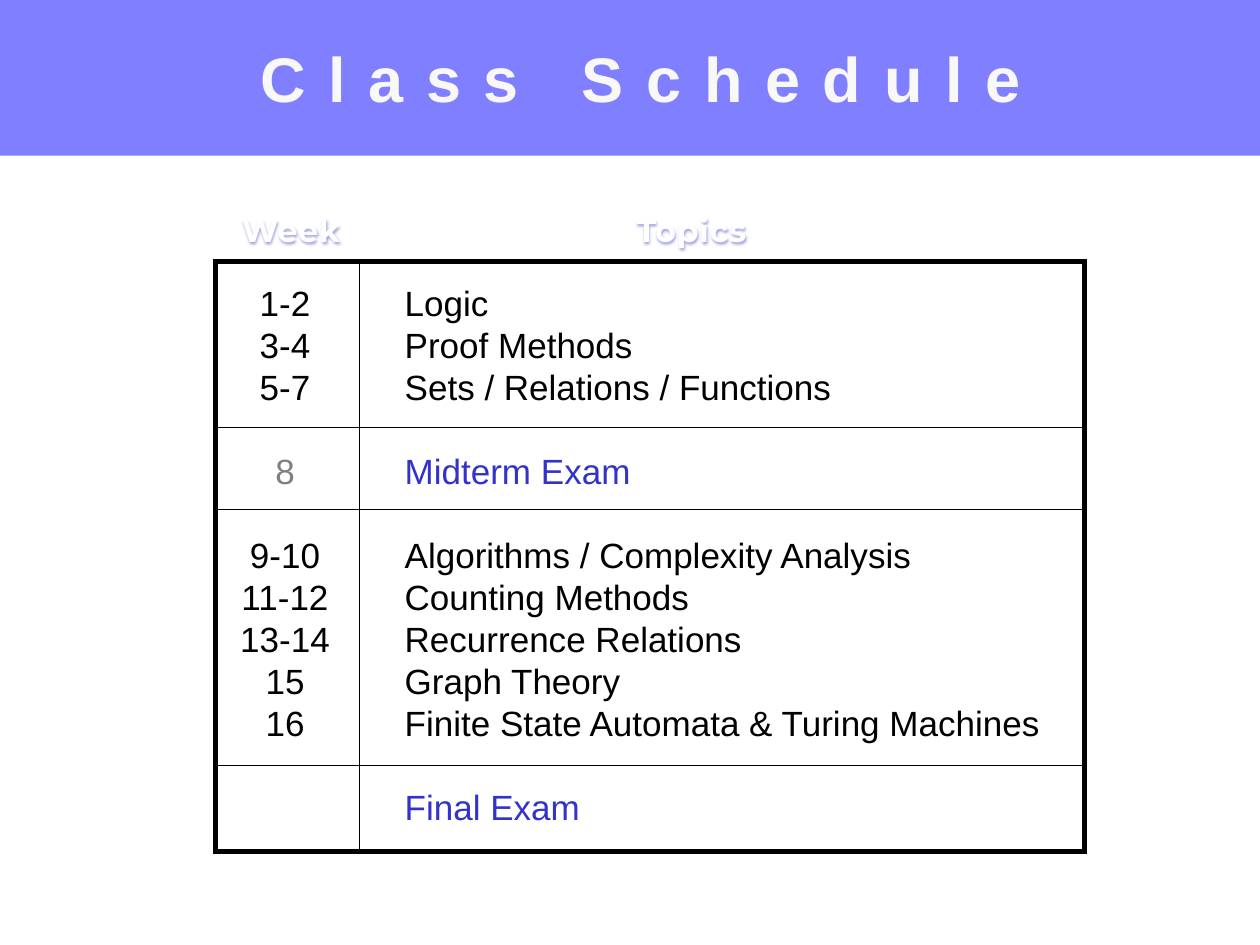
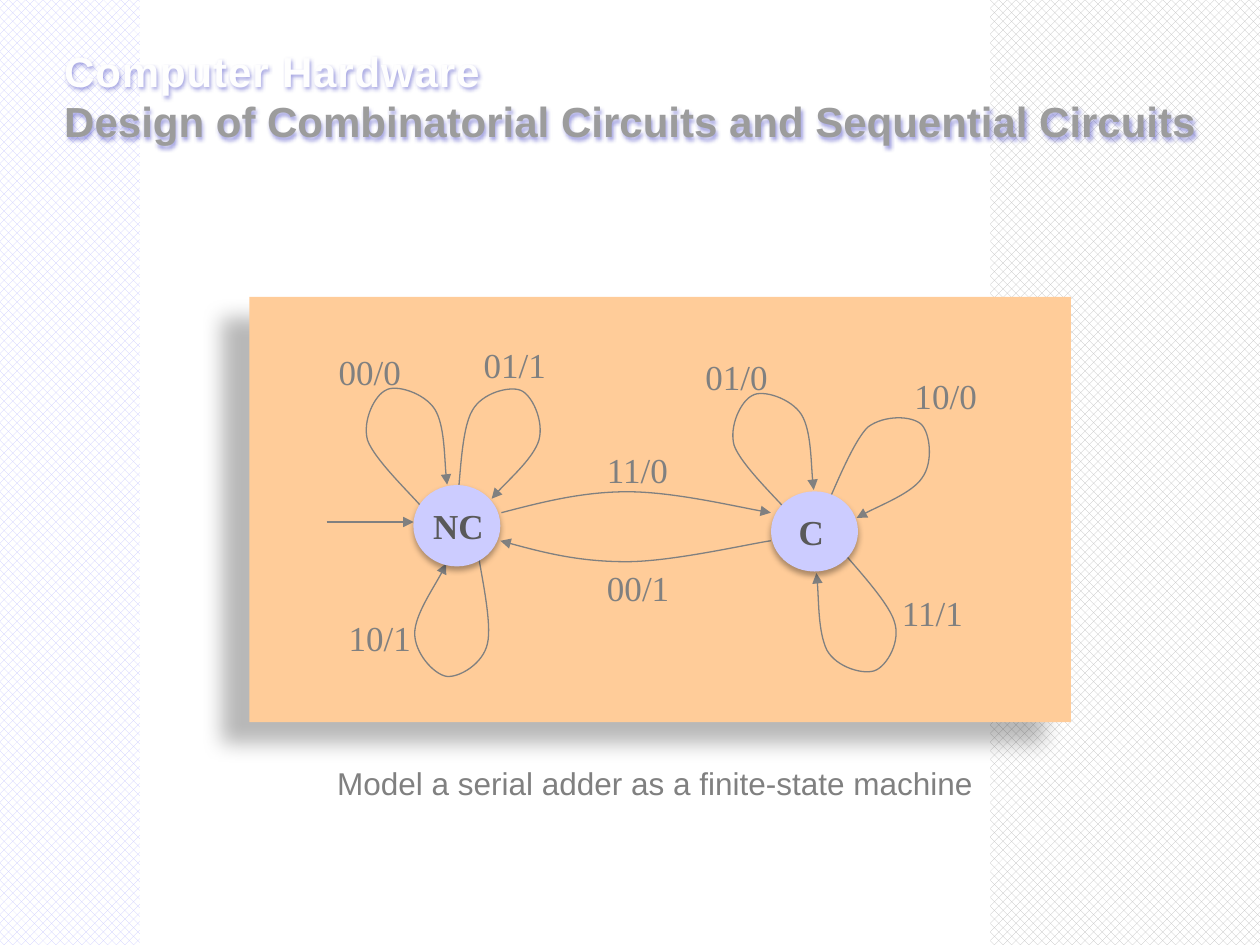
from lxml import etree
from pptx import Presentation
from pptx.dml.color import RGBColor
from pptx.enum.dml import MSO_PATTERN
from pptx.enum.shapes import MSO_CONNECTOR, MSO_SHAPE
from pptx.enum.text import MSO_ANCHOR, MSO_AUTO_SIZE, PP_ALIGN
from pptx.oxml.ns import qn
from pptx.util import Pt

# ---- Shared style ----
C = dict(black="000000", white="FFFFFF", band="0000FF", title="F8F8F8",
         pale="FEFEFE", navy="1C1CB5", exam="3333CC", grey="808080",
         subtitle="9C9C9C", dark="595959", lilac="CCCCFF", silver="C0C0C0",
         peach="FFCC99")
SANS, SERIF, HEAD = "Arial", "Times New Roman", "Montserrat"
TEXT_SHADOW = (C["navy"], 40, 1.5, 1, 60)  # colour, opacity %, blur, distance, angle
NODE_SHADOW = (C["black"], 32, 3.5, 2.2, 90)
PANEL_SHADOW = (C["black"], 28, 11.8, 19.7, 141)

# ---- Slide 1 content: groups of (week, topic), ruled off from each other ----
SCHEDULE_TITLE = "C l a s s   S c h e d u l e"
SCHEDULE = [
    [("1-2", "Logic"), ("3-4", "Proof Methods"),
     ("5-7", "Sets / Relations / Functions")],
    [("8", "Midterm Exam")],
    [("9-10", "Algorithms / Complexity Analysis"), ("11-12", "Counting Methods"),
     ("13-14", "Recurrence Relations"), ("15", "Graph Theory"),
     ("16", "Finite State Automata & Turing Machines")],
    [("", "Final Exam")],
]
HEADINGS = [("Week", 131.2, 70.6), ("Topics", 356.8, 82.8)]
FRAME = (123.3, 149.4, 496.5, 337)
RULES_Y = [244.5, 291.1, 437.5]
DIVIDER_X = 205.5

# ---- Slide 2 content ----
HARDWARE_TITLE = [("Computer Hardware", C["pale"], C["navy"], 0.5),
                  ("Design of Combinatorial Circuits and Sequential Circuits",
                   C["subtitle"], C["black"], 0)]
CAPTION = "Model a serial adder as a finite-state machine"
SIDES = [(565.9, 154.1, C["silver"]), (0, 79.9, C["lilac"])]
STATES = [("NC", (236.2, 277.2, 49.7, 46.5), (240.5, 284.8, 43.2)),
          ("C", (440.6, 280.8, 49.7, 45.8), (449.3, 288, 28.8))]
LABELS = [("00/0", 186.5, 196.6), ("01/1", 269.3, 193), ("01/0", 396, 199.4),
          ("10/0", 515.5, 210.2), ("11/0", 339.8, 253), ("00/1", 339.8, 320.4),
          ("10/1", 192.2, 348.5), ("11/1", 508.3, 334.4)]
LABEL_W = 52
UPPER_LEFT_LOOP = [
    (242, 291), (237, 284.5), (214, 263), (210, 251.5), (207, 240.5), (214, 226),
    (220.5, 223), (226, 219.5), (242.5, 224.5), (248.5, 234), (254, 243),
    (254, 267.5), (255.5, 277)]
# Each curve: start, then two control points and an end per segment
CURVES = [
    UPPER_LEFT_LOOP,
    [(x + 209.5, y + 3) for x, y in UPPER_LEFT_LOOP],
    [(261.5, 284.5), (263, 276), (263.5, 245), (270, 234.5), (275.5, 224.5),
     (291, 220.5), (297.5, 223), (304, 225.5), (311, 240.5), (308, 251.5),
     (305, 261.5), (286.5, 278), (281, 285)],
    [(273.5, 317.5), (274.5, 326), (281.5, 356.5), (278.5, 368), (276, 379.5),
     (262, 387.5), (255, 386.5), (247.5, 385), (237, 373), (237, 362),
     (237, 351.5), (251.5, 330.5), (255, 322)],
    [(472.5, 288.5), (476, 281.5), (487.5, 252), (496, 244), (505.5, 237),
     (521, 237.5), (526.5, 242.5), (531.5, 247.5), (533.5, 264), (527, 273),
     (521.5, 281.5), (497.5, 291), (489.5, 296)],
    [(481, 314.5), (486, 321), (507.5, 343.5), (511, 355), (515, 366.5),
     (507, 380), (500.5, 383), (494, 386), (478, 381.5), (472.5, 371.5),
     (467.5, 361), (468, 337), (466.5, 327.5)],
    [(286.5, 293), (309.5, 287), (332.5, 281), (358.5, 281), (384.5, 281),
     (427, 291), (440.5, 293)],
    [(440.5, 309), (427, 311), (384, 321), (358, 321), (332, 321),
     (309, 315.5), (286, 309)],
]


# ---- Helpers ----
def rgb(value):
    return RGBColor.from_string(value)


def child(parent, tag, **attrs):
    return etree.SubElement(parent, qn(tag), {k: str(v) for k, v in attrs.items()})


def line_height(size):
    return round(size * 1.21)


def add_shadow(sp, color, opacity, blur, dist, angle):
    sp.shadow.inherit = False
    effects = sp._element.spPr.find(qn("a:effectLst"))
    shadow = child(effects, "a:outerShdw", blurRad=Pt(blur), dist=Pt(dist),
                   dir=angle * 60000, algn="ctr", rotWithShape=0)
    child(child(shadow, "a:srgbClr", val=color), "a:alpha", val=opacity * 1000)


def add_box(s, kind, box, fill=None, line=None, width=0.75):
    sp = s.shapes.add_shape(kind, *map(Pt, box))
    sp.shadow.inherit = False
    if fill:
        sp.fill.solid()
        sp.fill.fore_color.rgb = rgb(fill)
    else:
        sp.fill.background()
    if line:
        sp.line.color.rgb = rgb(line)
        sp.line.width = Pt(width)
        child(sp.line._get_or_add_ln(), "a:miter", lim=800000)
    else:
        sp.line.fill.background()
    return sp


def style_line(sp, color, arrow=False):
    sp.line.color.rgb = rgb(color)
    sp.line.width = Pt(0.75)
    if arrow:
        child(sp.line._get_or_add_ln(), "a:tailEnd", type="triangle")


def add_line(s, x1, y1, x2, y2, color, arrow=False):
    cn = s.shapes.add_connector(MSO_CONNECTOR.STRAIGHT, *map(Pt, (x1, y1, x2, y2)))
    style_line(cn, color, arrow)
    child(cn._element.spPr, "a:effectLst")


def add_curve(s, points):
    scaled = [(Pt(x), Pt(y)) for x, y in points]
    builder = s.shapes.build_freeform(*scaled[0])
    builder.add_line_segments(scaled[1:], close=False)
    sp = builder.convert_to_shape()
    sp.shadow.inherit = False
    sp.fill.background()
    style_line(sp, C["grey"], arrow=True)
    # Turn every three straight steps into one cubic segment
    path_el = next(sp._element.iter(qn("a:path")))
    steps = path_el.findall(qn("a:lnTo"))
    for i in range(0, len(steps), 3):
        cubic = child(path_el, "a:cubicBezTo")
        for step in steps[i:i + 3]:
            cubic.append(step[0])
            path_el.remove(step)


def setup_frame(sp, top=3.6):
    tf = sp.text_frame
    tf.word_wrap = False
    tf.auto_size = MSO_AUTO_SIZE.SHAPE_TO_FIT_TEXT
    tf.vertical_anchor = MSO_ANCHOR.TOP
    tf.margin_left = tf.margin_right = Pt(7.2)
    tf.margin_top, tf.margin_bottom = Pt(top), Pt(3.6)
    return tf


def write(tf, i, text, size, font, color, bold=False, align=PP_ALIGN.LEFT,
          spacing=0, outline=None, before=0):
    p = tf.paragraphs[0] if i == 0 else tf.add_paragraph()
    p.alignment = align
    p.line_spacing = Pt(line_height(size))
    p.space_before = Pt(before)
    r = p.add_run()
    r.text = text
    p.font.size = r.font.size = Pt(size)
    r.font.name, r.font.bold = font, bold
    r.font.color.rgb = rgb(color)
    rPr = r.font._element
    if spacing:
        rPr.set("spc", str(int(spacing * 100)))
    if outline:
        ln = etree.Element(qn("a:ln"), w=str(Pt(1)))
        child(child(ln, "a:solidFill"), "a:srgbClr", val=outline)
        rPr.insert(0, ln)
    return p


def add_text(s, box, text, size, font, color, **style):
    sp = s.shapes.add_textbox(*map(Pt, box))
    write(setup_frame(sp), 0, text, size, font, color, **style)
    return sp


def place_title(s, box, backdrop):
    title = s.shapes.title
    title.left, title.top, title.width, title.height = map(Pt, box)
    for sp in backdrop:
        title._element.addprevious(sp._element)
    return title, setup_frame(title)


prs = Presentation()
prs.slide_width, prs.slide_height = Pt(720), Pt(540)
TITLE_ONLY = prs.slide_layouts[5]

# ---- Slide 1: class schedule ----
s = prs.slides.add_slide(TITLE_ONLY)
band = add_box(s, MSO_SHAPE.RECTANGLE, (0, 0, 720, 89), C["band"])
child(next(band._element.spPr.iter(qn("a:srgbClr"))), "a:alpha", val=50000)
title, tf = place_title(s, (141.5, 18.3, 455, 51.1), [band])
write(tf, 0, SCHEDULE_TITLE, 36, SANS, C["title"], bold=True, spacing=1.5)

# Week and topic columns; one empty line's height separates the groups
columns = [(130.1, 133.2, 65.5, 295.2), (224.2, 109.4, 378.7, 367.2)]
for col, box in enumerate(columns):
    sp = s.shapes.add_textbox(*map(Pt, box))
    tf = setup_frame(sp, top=160.8 - box[1])
    count = 0
    for group in SCHEDULE:
        for j, row in enumerate(group):
            if not row[col]:
                continue
            exam = len(group) == 1
            color = (C["grey"], C["exam"])[col] if exam else C["black"]
            write(tf, count, row[col], 20, SANS, color,
                  align=(PP_ALIGN.CENTER, PP_ALIGN.LEFT)[col],
                  before=line_height(20) if count and j == 0 else 0)
            count += 1

# Frame and rules
left, top, width, height = FRAME
add_line(s, DIVIDER_X, top, DIVIDER_X, top + height, C["black"])
add_box(s, MSO_SHAPE.RECTANGLE, FRAME, line=C["black"], width=3)
for y in RULES_Y:
    add_line(s, left, y, left + width - 1.5, y, C["black"])
for text, x, w in HEADINGS:
    sp = add_text(s, (x, 116.8, w, 28.8), text, 18, HEAD, C["pale"], bold=True,
                  spacing=0.5, outline=C["navy"])
    add_shadow(sp, *TEXT_SHADOW)

# ---- Slide 2: serial adder state machine ----
s = prs.slides.add_slide(TITLE_ONLY)
sides = []
for x, w, color in SIDES:
    sp = add_box(s, MSO_SHAPE.RECTANGLE, (x, 0, w, 540))
    sp.fill.patterned()
    sp.fill.pattern = MSO_PATTERN.PERCENT_50
    sp.fill.fore_color.rgb, sp.fill.back_color.rgb = rgb(color), rgb(C["white"])
    sides.append(sp)
title, tf = place_title(s, (29.5, 21.9, 667.4, 65.5), sides)
for i, (text, color, outline, spacing) in enumerate(HARDWARE_TITLE):
    write(tf, i, text, 24, SANS, color, bold=True, spacing=spacing, outline=outline)
add_shadow(title, *TEXT_SHADOW)

# Panel, transitions and states
panel = add_box(s, MSO_SHAPE.RECTANGLE, (142.5, 169.7, 469.4, 243), C["peach"])
add_shadow(panel, *PANEL_SHADOW)
for points in CURVES:
    add_curve(s, points)
add_line(s, 186.7, 298.3, 236.4, 298.3, C["grey"], arrow=True)
for name, oval, (x, y, w) in STATES:
    sp = add_box(s, MSO_SHAPE.OVAL, oval, C["lilac"])
    add_shadow(sp, *NODE_SHADOW)
    add_text(s, (x, y, w, 31), name, 20, SERIF, C["dark"], bold=True)
for text, x, y in LABELS:
    add_text(s, (x, y, LABEL_W, 31), text, 20, SERIF, C["grey"])

# Caption
sp = add_text(s, (185.6, 439, 378, 44.6), CAPTION, 18, SANS, C["grey"])
sp.text_frame.paragraphs[0].line_spacing = 0.7

prs.save("out.pptx")
